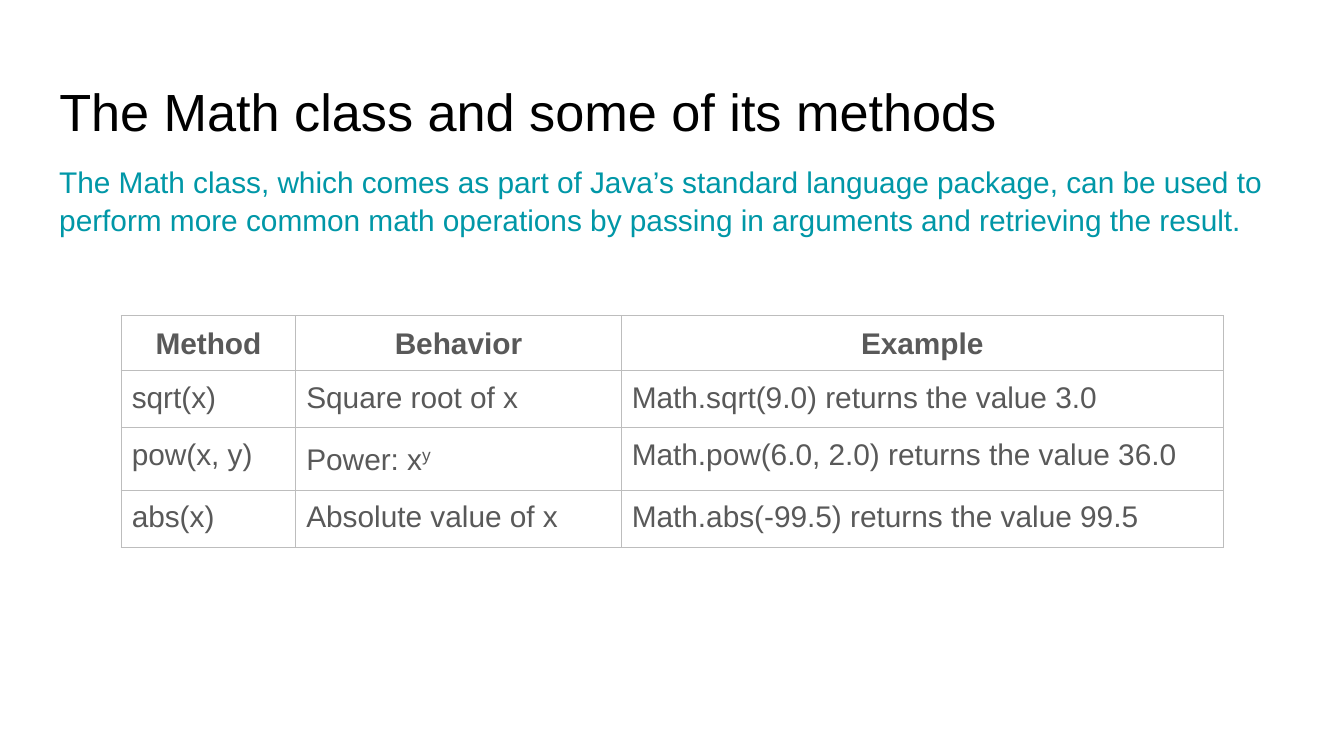
import pptx
import pptx.util
import pptx.dml.color
import pptx.enum.text
import pptx.oxml

Cm = pptx.util.Cm
Align = pptx.enum.text.PP_ALIGN

TITLE = "The Math class and some of its methods"
INTRO = ("The Math class, which comes as part of Java’s standard language package, "
         "can be used to perform more common math operations by passing in "
         "arguments and retrieving the result.")
HEAD = ("Method", "Behavior", "Example")
ROWS = [
    ("sqrt(x)", "Square root of x", "Math.sqrt(9.0) returns the value 3.0"),
    ("pow(x, y)", ("Power: x", "y"), "Math.pow(6.0, 2.0) returns the value 36.0"),
    ("abs(x)", "Absolute value of x", "Math.abs(-99.5) returns the value 99.5"),
]
WIDTHS = (3.3, 6.15, 11.38)
HEIGHTS = (0.98, 1.06, 1.13, 1.06)
BLACK, TEAL, GRAY, RULE, WHITE = "000000", "0097A7", "595959", "BDBDBD", "FFFFFF"


def color(code):
    return pptx.dml.color.RGBColor.from_string(code)


def style(para, size, code, bold=False):
    font = para.font
    font.name, font.size, font.bold = "Arial", pptx.util.Pt(size), bold
    font.color.rgb = color(code)


def fill_box(shape, text, size, code):
    frame = shape.text_frame
    frame.word_wrap = True
    frame.vertical_anchor = pptx.enum.text.MSO_ANCHOR.TOP
    frame.margin_left = frame.margin_right = Cm(0.25)
    frame.margin_top = frame.margin_bottom = Cm(0.25)
    para = frame.paragraphs[0]
    para.text = text
    para.alignment = Align.LEFT
    style(para, size, code)
    return para


def border(cell):
    props = cell._tc.get_or_add_tcPr()
    for place, side in enumerate(("lnL", "lnR", "lnT", "lnB")):
        props.insert(place, pptx.oxml.parse_xml(
            f'<a:{side} xmlns:a="http://schemas.openxmlformats.org/drawingml/2006/main"'
            f' w="9525"><a:solidFill><a:srgbClr val="{RULE}"/></a:solidFill></a:{side}>'))


def fill_cell(cell, text, head):
    pad = Cm(0.13 if head else 0.2)
    cell.margin_left = cell.margin_right = pad
    cell.margin_top = cell.margin_bottom = pad
    cell.fill.solid()
    cell.fill.fore_color.rgb = color(WHITE)
    border(cell)
    para = cell.text_frame.paragraphs[0]
    base, power = (text, "") if isinstance(text, str) else text
    para.add_run().text = base
    if power:
        run = para.add_run()
        run.text = power
        run.font._element.set("baseline", "30000")
    para.alignment = Align.CENTER if head else Align.LEFT
    if head or power:
        para.line_spacing = 1.15
    style(para, 16, GRAY, head)


deck = pptx.Presentation()
deck.slide_width, deck.slide_height = Cm(25.4), Cm(14.29)
slide = deck.slides.add_slide(deck.slide_layouts[5])

title = slide.shapes.title
title.left, title.top, title.width, title.height = Cm(0.87), Cm(1.24), Cm(23.67), Cm(1.6)
fill_box(title, TITLE, 28, BLACK)

intro = slide.shapes.add_textbox(Cm(0.87), Cm(2.82), Cm(23.67), Cm(1.8))
fill_box(intro, INTRO, 16, TEAL).line_spacing = 1.05

grid = slide.shapes.add_table(len(ROWS) + 1, len(HEAD), Cm(2.29), Cm(5.97),
                              Cm(sum(WIDTHS)), Cm(sum(HEIGHTS))).table
grid.horz_banding = False
for col, width in zip(grid.columns, WIDTHS):
    col.width = Cm(width)
for r, (height, texts) in enumerate(zip(HEIGHTS, [HEAD, *ROWS])):
    grid.rows[r].height = Cm(height)
    for c, text in enumerate(texts):
        fill_cell(grid.cell(r, c), text, r == 0)

deck.save("out.pptx")
